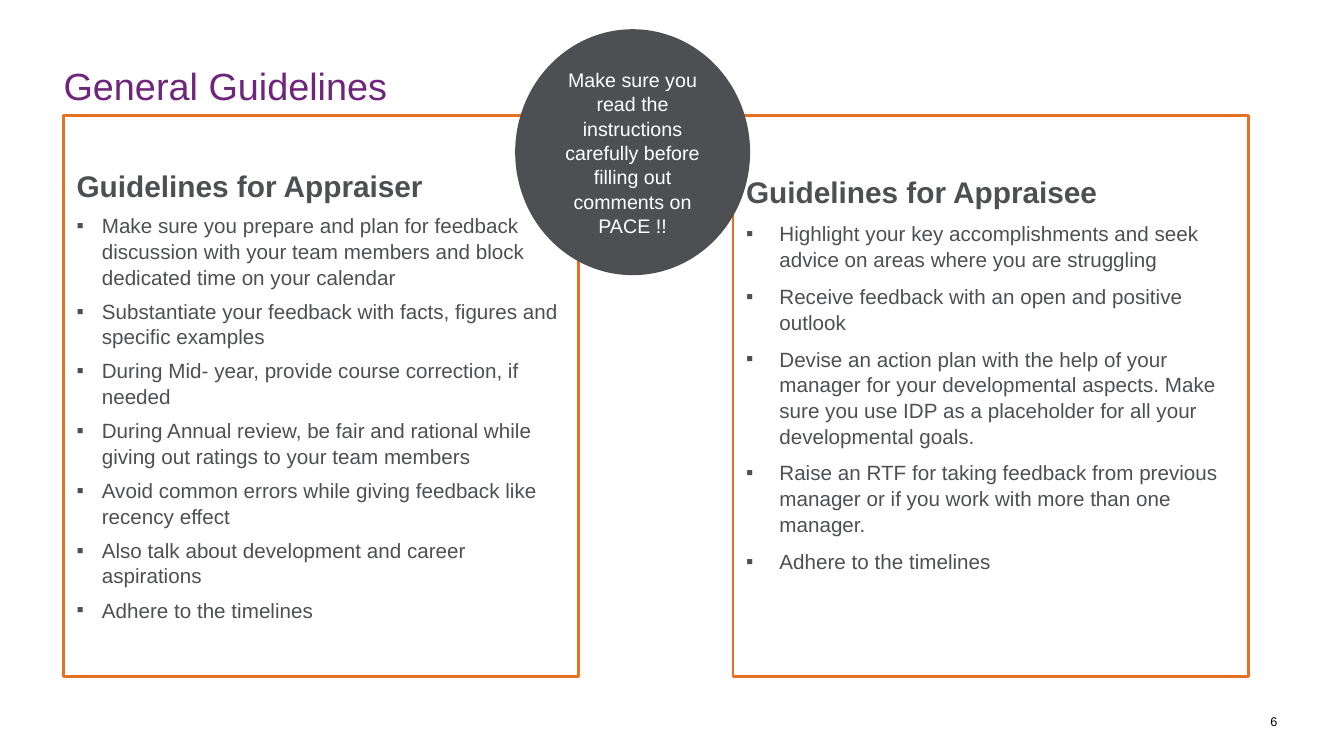
from dataclasses import dataclass

from lxml import etree
from pptx import Presentation
from pptx.dml.color import RGBColor
from pptx.enum.shapes import MSO_SHAPE
from pptx.enum.text import MSO_ANCHOR, MSO_AUTO_SIZE, PP_ALIGN
from pptx.oxml.ns import qn
from pptx.util import Inches, Pt

TITLE = "General Guidelines"
PAGE_NUMBER = "6"
REMINDER = ("Make sure you read the instructions carefully before "
            "filling out comments on PACE !!")
PANELS = [
    {
        "heading": "Guidelines for Appraiser",
        "indent": 0.25, "gap": 6, "bottom": 0.09,
        "points": [
            "Make sure you prepare and plan for feedback discussion with your "
            "team members and block dedicated time on your calendar",
            "Substantiate your feedback with facts, figures and specific examples",
            "During Mid- year, provide course correction, if needed",
            "During Annual review, be fair and rational while giving out ratings "
            "to your team members",
            "Avoid common errors while giving feedback like recency effect",
            "Also talk about development and career aspirations",
            "Adhere to the timelines",
        ],
    },
    {
        "heading": "Guidelines for Appraisee",
        "indent": 0.33, "gap": 8, "bottom": 0.52,
        "points": [
            "Highlight your key accomplishments and seek advice on areas where "
            "you are struggling",
            "Receive feedback with an open and positive outlook",
            "Devise an action plan with the help of your manager for your "
            "developmental aspects. Make sure you use IDP as a placeholder for "
            "all your developmental goals.",
            "Raise an RTF for taking feedback from previous manager or if you "
            "work with more than one manager.",
            "Adhere to the timelines",
        ],
    },
]


@dataclass(frozen=True)
class Theme:
    font: str = "Arial"
    purple: str = "6E267B"
    orange: str = "E37222"
    grey: str = "4D4F53"
    white: str = "FFFFFF"
    black: str = "000000"
    title_size: float = 27
    heading_size: float = 21.3
    body_size: float = 14.7
    reminder_size: float = 14
    number_size: float = 9
    line_spacing: float = 1.04


THEME = Theme()
SLIDE_WIDTH, SLIDE_HEIGHT = 13.33, 7.5
MARGIN = 0.63
PANEL_TOP, PANEL_WIDTH, PANEL_HEIGHT = 1.15, 5.11, 5.56
PANEL_STEP = 6.64
TITLE_AREA = (MARGIN, 0.5, 12, 0.7)
NUMBER_AREA = (9.56, 6.96, 3.11, 0.4)
REMINDER_AREA = (5.11, 0.29, 2.33, 2.44)
FLUSH = (0, 0.05, 0, 0.05)
PADDED = (0.13, 0.07, 0.13, 0.07)


def place(box, area):
    box.left, box.top, box.width, box.height = map(Inches, area)


def prepare_frame(box, insets):
    """Set wrapping, middle anchor and insets (left, top, right, bottom)."""
    frame = box.text_frame
    frame.word_wrap = True
    frame.auto_size = MSO_AUTO_SIZE.NONE
    frame.vertical_anchor = MSO_ANCHOR.MIDDLE
    (frame.margin_left, frame.margin_top,
     frame.margin_right, frame.margin_bottom) = map(Inches, insets)
    return frame


def write(para, text, size, color, bold=False, align=PP_ALIGN.LEFT):
    para.alignment = align
    span = para.add_run()
    span.text = text
    span.font.name = THEME.font
    span.font.size = Pt(size)
    span.font.bold = bold
    span.font.color.rgb = RGBColor.from_string(color)


def add_bullet(para, indent):
    properties = para._p.get_or_add_pPr()
    properties.set("marL", str(Inches(indent)))
    properties.set("indent", str(-Inches(indent)))
    color = etree.SubElement(properties, qn("a:buClr"))
    etree.SubElement(color, qn("a:srgbClr"), val=THEME.grey)
    etree.SubElement(properties, qn("a:buFont"), typeface=THEME.font)
    etree.SubElement(properties, qn("a:buChar"), char="▪")


def add_filled_shape(page, preset, area, fill, line=None):
    shape = page.shapes.add_shape(preset, *map(Inches, area))
    shape.shadow.inherit = False
    shape.fill.solid()
    shape.fill.fore_color.rgb = RGBColor.from_string(fill)
    if line:
        shape.line.color.rgb = RGBColor.from_string(line)
        shape.line.width = Pt(2)
    else:
        shape.line.fill.background()
    return shape


def add_panel(page, column, panel):
    area = (MARGIN + column * PANEL_STEP, PANEL_TOP, PANEL_WIDTH, PANEL_HEIGHT)
    box = add_filled_shape(page, MSO_SHAPE.RECTANGLE, area, THEME.white, THEME.orange)
    frame = prepare_frame(box, (*PADDED[:3], panel["bottom"]))
    heading = frame.paragraphs[0]
    heading.space_before = Pt(6)
    write(heading, panel["heading"], THEME.heading_size, THEME.grey, bold=True)
    for point in panel["points"]:
        para = frame.add_paragraph()
        para.line_spacing = THEME.line_spacing
        para.space_before = Pt(panel["gap"])
        write(para, point, THEME.body_size, THEME.grey)
        add_bullet(para, panel["indent"])


def main():
    deck = Presentation()
    deck.slide_width, deck.slide_height = Inches(SLIDE_WIDTH), Inches(SLIDE_HEIGHT)
    page = deck.slides.add_slide(deck.slide_layouts[5])

    title = page.shapes.title
    place(title, TITLE_AREA)
    write(prepare_frame(title, FLUSH).paragraphs[0], TITLE,
          THEME.title_size, THEME.purple)

    number = page.shapes.add_textbox(*map(Inches, NUMBER_AREA))
    write(prepare_frame(number, FLUSH).paragraphs[0], PAGE_NUMBER,
          THEME.number_size, THEME.black, align=PP_ALIGN.RIGHT)

    for column, panel in enumerate(PANELS):
        add_panel(page, column, panel)

    reminder = add_filled_shape(page, MSO_SHAPE.OVAL, REMINDER_AREA, THEME.grey)
    para = prepare_frame(reminder, PADDED).paragraphs[0]
    para.line_spacing = THEME.line_spacing
    write(para, REMINDER, THEME.reminder_size, THEME.white, align=PP_ALIGN.CENTER)

    deck.save("out.pptx")


if __name__ == "__main__":
    main()
